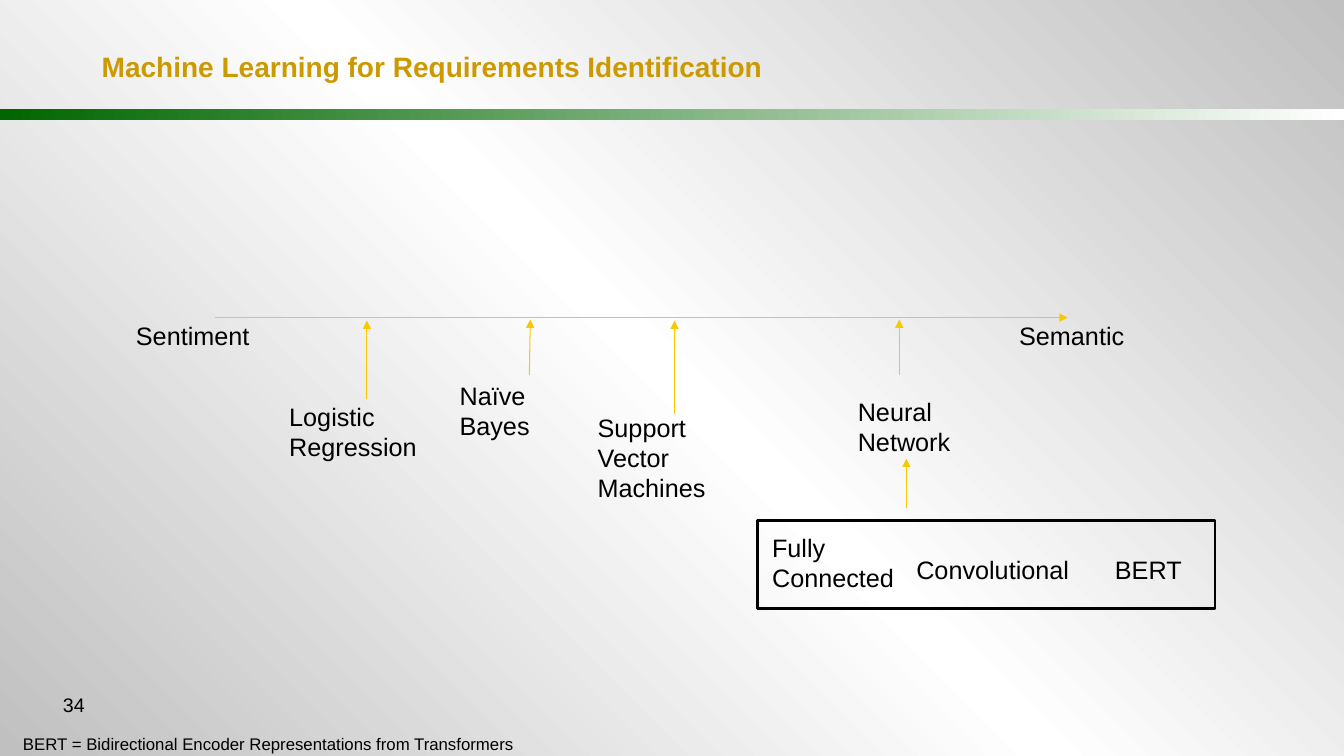
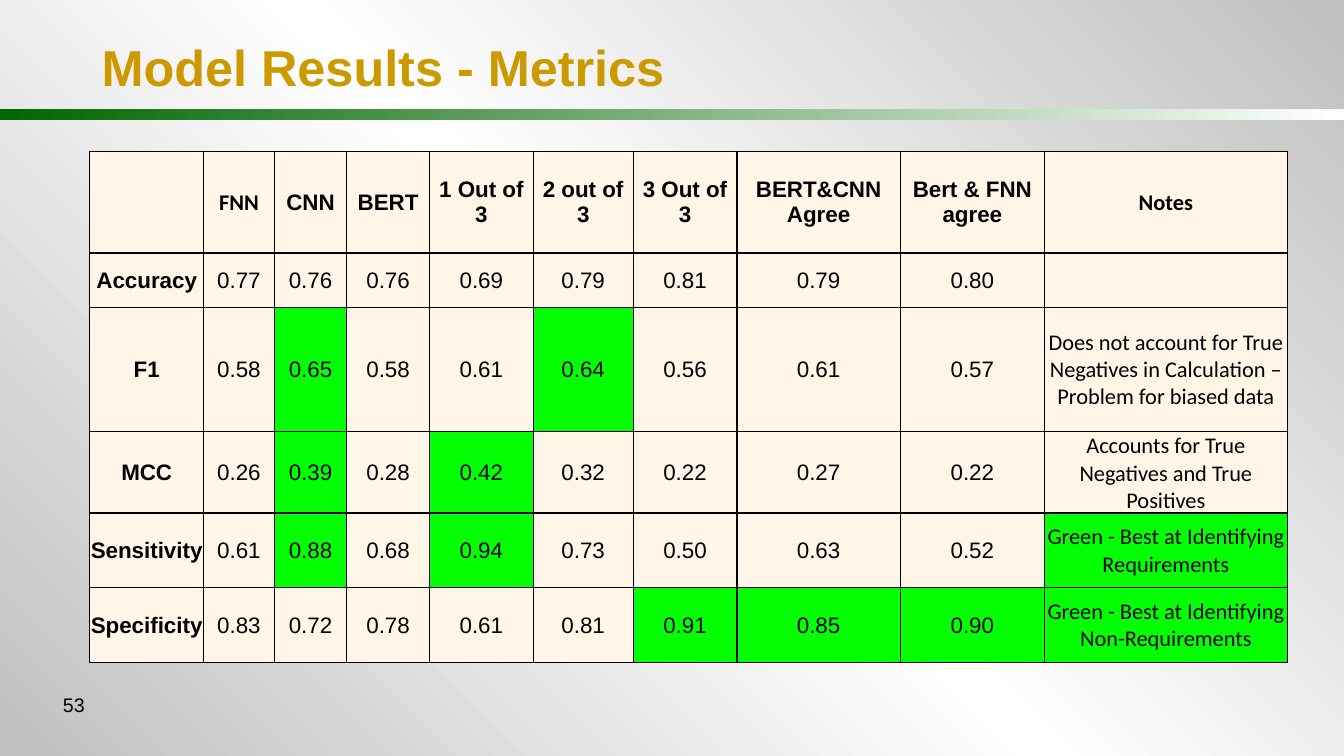
from lxml import etree
from pptx import Presentation
from pptx import util as u
from pptx.dml.color import RGBColor
from pptx.enum import shapes, text
from pptx.oxml.ns import qn

PX = 9144
BLACK, GOLD, ARROW = "000000", "CC9900", "F9C800"
CREAM, GREEN = "FFF6E7", "04FF04"
BACKDROP = [(0, "C0C0C0"), (50, "FFFFFF"), (100, "C0C0C0")]
BAND = [(0, "006600"), (100, "FFFFFF")]
WIDTH, HEIGHT = 1333, 750

MODELS = [
    ("Sentiment", (125, 313, 145, 40)),
    ("Semantic", (1001, 313, 145, 40)),
    ("Logistic Regression", (277, 393, 188, 71)),
    ("Naïve Bayes", (446, 372, 158, 71)),
    ("Support Vector Machines", (583, 404, 173, 101)),
    ("Neural Network", (841, 388, 186, 71)),
    ("Fully Connected", (756, 523, 186, 71)),
    ("Convolutional", (899, 545, 186, 40)),
    ("BERT", (1096, 545, 100, 40)),
]
ARROWS = [
    (213, 315, 1059, 315),
    (364, 396, 364, 318),
    (525, 372, 526, 317),
    (669, 411, 669, 318),
    (892, 372, 892, 317),
    (899, 504, 899, 455),
]
NETWORK_TYPES = (751, 516, 454, 88)
FOOTNOTE = "BERT = Bidirectional Encoder Representations from Transformers"

METRICS = [
    ["", "FNN", "CNN", "BERT", "1 Out of 3", "2 out of 3", "3 Out of 3",
     "BERT&CNN Agree", "Bert & FNN agree", "Notes"],
    ["Accuracy", "0.77", "0.76", "0.76", "0.69", "0.79", "0.81", "0.79", "0.80", ""],
    ["F1", "0.58", "0.65", "0.58", "0.61", "0.64", "0.56", "0.61", "0.57",
     "Does not account for True Negatives in Calculation – Problem for biased data"],
    ["MCC", "0.26", "0.39", "0.28", "0.42", "0.32", "0.22", "0.27", "0.22",
     "Accounts for True Negatives and True Positives"],
    ["Sensitivity", "0.61", "0.88", "0.68", "0.94", "0.73", "0.50", "0.63", "0.52",
     "Green - Best at Identifying Requirements"],
    ["Specificity", "0.83", "0.72", "0.78", "0.61", "0.81", "0.91", "0.85", "0.90",
     "Green - Best at Identifying Non-Requirements"],
]
BEST = {2: {2, 5}, 3: {2, 4}, 4: {2, 4, 9}, 5: {6, 7, 8, 9}}
CALIBRI_CELLS = {(0, 1)} | {(row, 9) for row in range(len(METRICS))}
COLUMNS = [113, 70, 72, 82, 103, 99, 103, 162, 143, 241]
ROWS = [101, 54, 123, 74, 74, 74]


def px(*lengths):
    return [u.Emu(length * PX) for length in lengths]


def color(value):
    return RGBColor.from_string(value)


def gradient(fill, owner, stops, angle):
    fill.gradient()
    fill.gradient_angle = angle
    stop_list = next(owner.iter(qn("a:gsLst")))
    for old in list(stop_list):
        stop_list.remove(old)
    for position, value in stops:
        stop = etree.SubElement(stop_list, qn("a:gs"), pos=str(position * 1000))
        etree.SubElement(stop, qn("a:srgbClr"), val=value)


def add_run(paragraph, words, size, value=BLACK, bold=False, font="Arial"):
    run = paragraph.add_run()
    run.text = words
    run.font.name, run.font.size, run.font.bold = font, u.Pt(size), bold
    run.font.color.rgb = color(value)


def add_label(slide, words, box, size, value=BLACK, bold=False,
              align=text.PP_ALIGN.LEFT, anchor=text.MSO_ANCHOR.TOP):
    frame = slide.shapes.add_textbox(*px(*box)).text_frame
    frame.word_wrap = True
    frame.vertical_anchor = anchor
    frame.paragraphs[0].alignment = align
    add_run(frame.paragraphs[0], words, size, value, bold)


def add_arrow(slide, ends):
    arrow = slide.shapes.add_connector(shapes.MSO_CONNECTOR.STRAIGHT, *px(*ends))
    arrow.line.color.rgb = color(ARROW)
    arrow.line.width = u.Pt(0.75)
    properties = arrow._element.spPr
    etree.SubElement(properties.find(qn("a:ln")), qn("a:tailEnd"), type="triangle")
    etree.SubElement(properties, qn("a:effectLst"))


def add_page(prs, title, size, number):
    slide = prs.slides.add_slide(prs.slide_layouts[6])
    band = slide.shapes.add_shape(shapes.MSO_SHAPE.RECTANGLE, *px(0, 108, WIDTH, 11))
    band.shadow.inherit = False
    band.line.fill.background()
    gradient(band.fill, band._element, BAND, 0)
    add_label(slide, title, (91, 9, 1189, 114), size, GOLD, True,
              anchor=text.MSO_ANCHOR.MIDDLE)
    add_label(slide, number, (26, 683, 68, 50), 14, align=text.PP_ALIGN.RIGHT)
    return slide


def add_spectrum(slide):
    add_label(slide, FOOTNOTE, (13, 723, 703, 30), 12)
    for ends in ARROWS:
        add_arrow(slide, ends)
    for name, box in MODELS:
        add_label(slide, name, box, 18)
    frame = slide.shapes.add_shape(shapes.MSO_SHAPE.FLOWCHART_PROCESS, *px(*NETWORK_TYPES))
    frame.shadow.inherit = False
    frame.fill.background()
    frame.line.color.rgb = color(BLACK)
    frame.line.width = u.Pt(2)


def add_borders(cell):
    properties = cell._tc.get_or_add_tcPr()
    for side in ("lnL", "lnR", "lnT", "lnB"):
        border = etree.SubElement(properties, qn("a:" + side), w=str(u.Pt(1)))
        fill = etree.SubElement(border, qn("a:solidFill"))
        etree.SubElement(fill, qn("a:srgbClr"), val=BLACK)


def add_metrics(slide):
    table = slide.shapes.add_table(len(ROWS), len(COLUMNS),
                                   *px(89, 150, sum(COLUMNS), sum(ROWS))).table
    table.first_row = table.horz_banding = False
    for column, width in zip(table.columns, px(*COLUMNS)):
        column.width = width
    for row, height in zip(table.rows, px(*ROWS)):
        row.height = height
    for r, values in enumerate(METRICS):
        for c, value in enumerate(values):
            cell = table.cell(r, c)
            add_borders(cell)
            cell.fill.solid()
            cell.fill.fore_color.rgb = color(GREEN if c in BEST.get(r, ()) else CREAM)
            cell.vertical_anchor = text.MSO_ANCHOR.MIDDLE
            cell.margin_left, cell.margin_right, cell.margin_top, cell.margin_bottom = px(1, 1, 1, 0)
            if value:
                paragraph = cell.text_frame.paragraphs[0]
                paragraph.alignment = text.PP_ALIGN.CENTER
                font = "Calibri" if (r, c) in CALIBRI_CELLS else "Arial"
                add_run(paragraph, value, 16, bold=r == 0 or c == 0, font=font)


def main():
    prs = Presentation()
    prs.slide_width, prs.slide_height = px(WIDTH, HEIGHT)
    master = prs.slide_master
    gradient(master.background.fill, master._element, BACKDROP, 45)
    add_spectrum(add_page(prs, "Machine Learning for Requirements Identification", 20, "34"))
    add_metrics(add_page(prs, "Model Results - Metrics", 36, "53"))
    prs.save("out.pptx")


if __name__ == "__main__":
    main()
